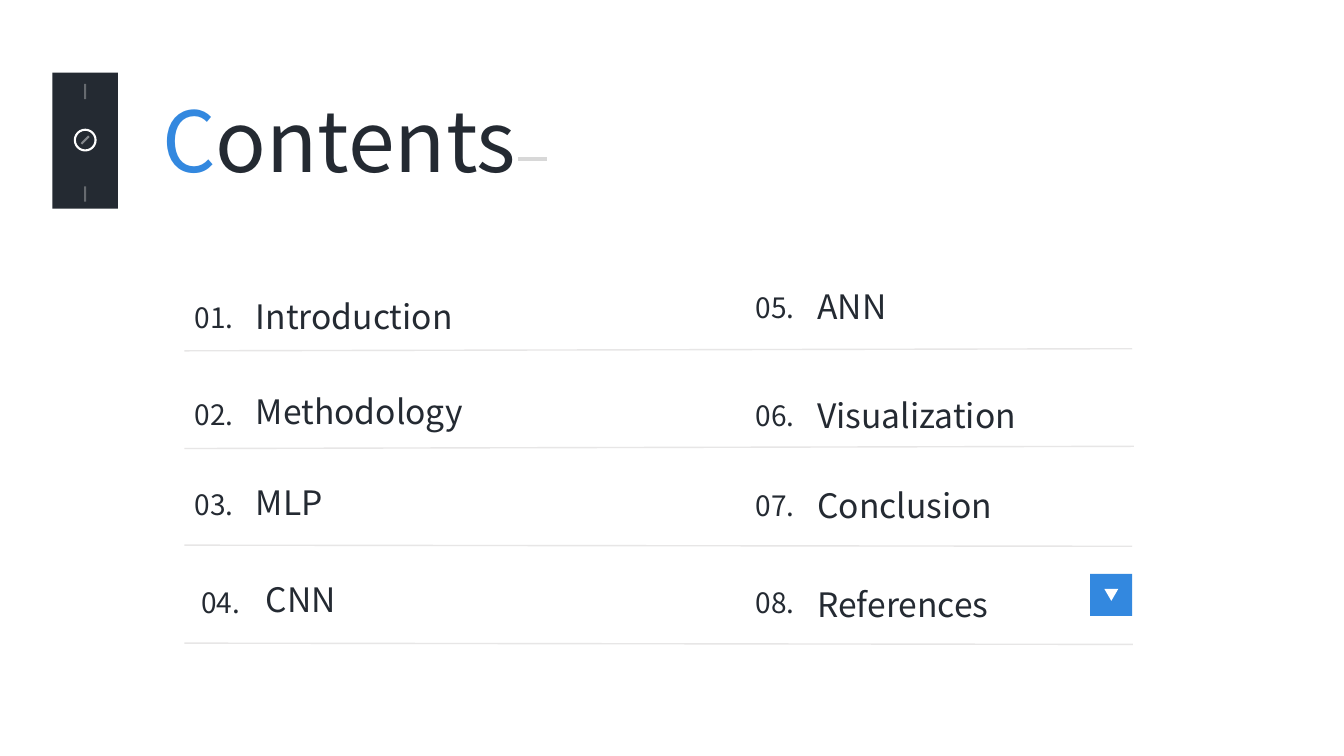
"""Build a contents slide with eight numbered entries in two columns."""
from lxml.etree import SubElement
from pptx import Presentation
from pptx.dml.color import RGBColor
from pptx.enum.shapes import MSO_CONNECTOR, MSO_SHAPE
from pptx.enum.text import MSO_AUTO_SIZE
from pptx.oxml.ns import qn
from pptx.util import Pt

FONT = "Noto Sans CJK SC"
DARK, BLUE, WHITE = "242A32", "3388DF", "FFFFFF"
color = RGBColor.from_string


def add_text(left, top, width, height, size, runs):
    box = slide.shapes.add_textbox(Pt(left), Pt(top), Pt(width), Pt(height))
    frame = box.text_frame
    frame.word_wrap = True
    frame.auto_size = MSO_AUTO_SIZE.SHAPE_TO_FIT_TEXT
    for text, run_color in runs:
        run = frame.paragraphs[0].add_run()
        run.text = text
        run.font.name = FONT
        run.font.size = Pt(size)
        run.font.color.rgb = color(run_color)
        SubElement(run.font._element, qn("a:ea"), typeface=FONT)


def add_line(shapes, start, end, line_color, width, opacity=100):
    line = shapes.add_connector(
        MSO_CONNECTOR.STRAIGHT, Pt(start[0]), Pt(start[1]), Pt(end[0]), Pt(end[1]))
    line.line.color.rgb = color(line_color)
    line.line.width = Pt(width)
    if opacity < 100:
        fill = line.line._ln.find(qn("a:solidFill"))
        SubElement(fill[0], qn("a:alpha"), val=str(opacity * 1000))
    SubElement(line._element.spPr, qn("a:effectLst"))


presentation = Presentation()
presentation.slide_width, presentation.slide_height = Pt(960), Pt(540)
slide = presentation.slides.add_slide(presentation.slide_layouts[6])

add_text(108.7, 59.8, 293.8, 79.9, 60, [("C", BLUE), ("ontents", DARK)])
add_line(slide.shapes, (370, 113.6), (391, 113.6), "D8D8D8", 3)

entries = [
    ("01.", 131.8, 211, "Introduction", 175.7, 208.1),
    ("02.", 131.8, 280.1, "Methodology", 175.7, 275.8),
    ("03.", 131.8, 344.9, "MLP", 175.7, 340.6),
    ("04.", 136.8, 414.7, "CNN", 182.9, 409.7),
    ("05.", 532.8, 203.8, "ANN", 576.7, 200.9),
    ("06.", 532.8, 280.8, "Visualization", 576.7, 278.6),
    ("07.", 532.8, 345.6, "Conclusion", 576.7, 342.7),
    ("08.", 532.8, 414.7, "References", 576.7, 413.3),
]
for number, number_left, number_top, title, title_left, title_top in entries:
    add_text(number_left, number_top, 60, 31.5, 20, [(number, DARK)])
    add_text(title_left, title_top, 296.6, 36.3, 24, [(title, DARK)])

for left_y, right_x, right_y in [(250.6, 808.6, 249.1), (320.4, 810, 318.8),
                                 (389.4, 808.6, 390.2), (459.4, 809.3, 460.3)]:
    add_line(slide.shapes, (131.8, left_y), (right_x, right_y), "E7E6E6", 1)

badge = slide.shapes.add_group_shape()
button = slide.shapes.add_group_shape()
for parent, kind, left, top, width, height, fill in [
    (badge, MSO_SHAPE.RECTANGLE, 37.4, 51.8, 46.8, 97.2, DARK),
    (badge, MSO_SHAPE.OVAL, 53.5, 92.7, 14.8, 14.8, None),
    (button, MSO_SHAPE.RECTANGLE, 778.7, 409.9, 30, 30, BLUE),
    (button, MSO_SHAPE.ISOSCELES_TRIANGLE, 788.8, 420.6, 10, 8.6, WHITE),
]:
    shape = parent.shapes.add_shape(kind, Pt(left), Pt(top), Pt(width), Pt(height))
    shape.shadow.inherit = False
    if fill:
        shape.fill.solid()
        shape.fill.fore_color.rgb = color(fill)
        shape.line.fill.background()
    else:
        shape.fill.background()
        shape.line.color.rgb = color(WHITE)
        shape.line.width = Pt(1.5)
    if kind == MSO_SHAPE.ISOSCELES_TRIANGLE:
        shape.rotation = 180

for top in (60, 133.2):
    add_line(badge.shapes, (60.8, top), (60.8, top + 10.8), WHITE, 1.5, 29)
add_line(badge.shapes, (63.5, 97.3), (58.2, 102.7), WHITE, 1.5, 44)

presentation.save("out.pptx")
